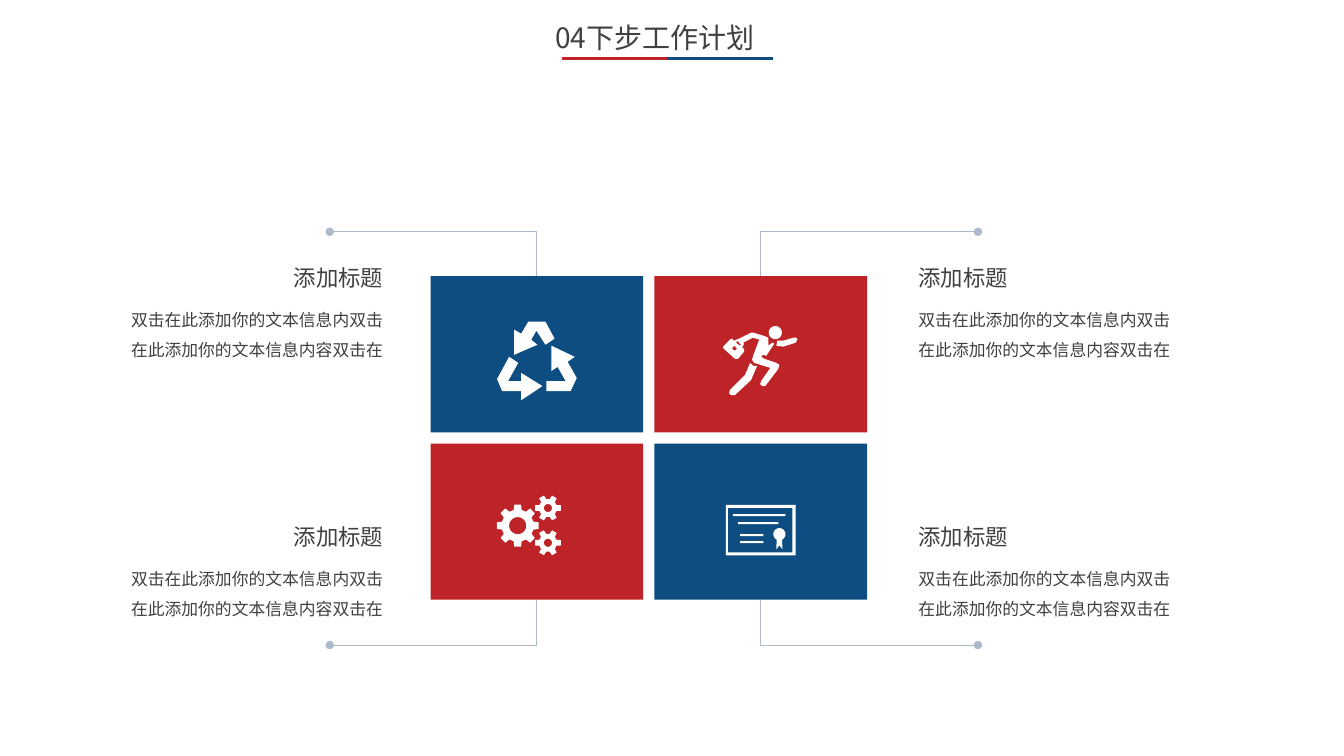
"""Build the next-step work plan slide: four icon tiles with callouts."""
from dataclasses import dataclass
from math import cos, radians, sin

from lxml.etree import SubElement
from pptx import Presentation
from pptx.dml.color import RGBColor
from pptx.enum.shapes import MSO_CONNECTOR as Link, MSO_SHAPE as Preset
from pptx.enum.text import MSO_AUTO_SIZE as AutoSize, PP_ALIGN as Align
from pptx.oxml.ns import qn
from pptx.util import Inches, Pt

COLORS = {"red": "BE2327", "blue": "0D4D81", "line": "ADBACA", "text": "404040", "white": "FFFFFF"}
FONT = "Noto Sans CJK SC"
HEADING = "添加标题"
BODY = "双击在此添加你的文本信息内双击在此添加你的文本信息内容双击在"
TILE_LEFT, TILE_TOP, TILE_WIDTH, TILE_HEIGHT = 4.27, 2.74, 2.11, 1.55
COLUMN_STEP, ROW_STEP = 2.22, 1.66

Point = tuple[float, float]
Contour = list[Point]


@dataclass(frozen=True)
class Side:
    text_left: float
    align: Align
    dot_x: float


@dataclass(frozen=True)
class Row:
    heading_top: float
    dot_y: float
    tile_edge: float


@dataclass(frozen=True)
class Tile:
    column: int
    row: int
    color: str
    icon: list[Contour]


@dataclass(frozen=True)
class TextStyle:
    size: int
    align: Align
    spacing: float = 1.0
    inset: float = 0.0


SIDES = [Side(1.2, Align.RIGHT, 3.27), Side(9.11, Align.LEFT, 9.7)]
ROWS = [Row(2.62, 2.3, 2.74), Row(5.19, 6.4, 5.95)]


def color(name: str) -> RGBColor:
    return RGBColor.from_string(COLORS[name])


def polar(center: Point, radius: float, angle: float) -> Point:
    return center[0] + radius * cos(radians(angle)), center[1] + radius * sin(radians(angle))


def arc(center: Point, radius: float, start: int = 0, end: int = 360) -> Contour:
    return [polar(center, radius, angle) for angle in range(start, end, 9)]


def bar(left: float, top: float, right: float, bottom: float) -> Contour:
    return [(left, top), (right, top), (right, bottom), (left, bottom)]


def gear(center: Point, outer: float, root: float, hole: float, teeth: int) -> list[Contour]:
    pitch = 360 / teeth
    profile = [(root, -0.32), (outer, -0.2), (outer, 0.2), (root, 0.32)]
    rim = [polar(center, radius, pitch * (tooth + shift))
           for tooth in range(teeth) for radius, shift in profile]
    return [rim, arc(center, hole)]


RECYCLE = [
    [(5.41, 3.19), (5.24, 3.19), (5.17, 3.31), (5.1, 3.27), (5.1, 3.52), (5.33, 3.42),
     (5.27, 3.37), (5.32, 3.28), (5.41, 3.42), (5.5, 3.36)],
    [(5.17, 3.78), (5.04, 3.78), (5.14, 3.6), (5.05, 3.54), (4.93, 3.76), (4.98, 3.88),
     (5.17, 3.88), (5.17, 3.97), (5.38, 3.83), (5.17, 3.7)],
    [(5.63, 3.59), (5.7, 3.54), (5.47, 3.43), (5.47, 3.68), (5.53, 3.64), (5.61, 3.78),
     (5.42, 3.78), (5.42, 3.88), (5.66, 3.88), (5.72, 3.75)],
]
RUNNER = [
    [(7.91, 3.37), (7.9, 3.35), (7.87, 3.35), (7.77, 3.38), (7.71, 3.38), (7.7, 3.43),
     (7.77, 3.44), (7.89, 3.4)],
    [(7.35, 3.42), (7.34, 3.43), (7.3, 3.4), (7.32, 3.38), (7.33, 3.4)],
    [(7.29, 3.48), (7.26, 3.46), (7.28, 3.43), (7.31, 3.46)],
    [(7.7, 3.6), (7.58, 3.56), (7.55, 3.54), (7.57, 3.52), (7.6, 3.53), (7.68, 3.41),
     (7.66, 3.4), (7.62, 3.43), (7.62, 3.35), (7.57, 3.33), (7.47, 3.3), (7.45, 3.3),
     (7.33, 3.36), (7.28, 3.38), (7.26, 3.36), (7.24, 3.37), (7.18, 3.43), (7.17, 3.45),
     (7.19, 3.47), (7.29, 3.56), (7.32, 3.56), (7.38, 3.49), (7.38, 3.46), (7.36, 3.45),
     (7.38, 3.41), (7.37, 3.4), (7.47, 3.35), (7.53, 3.37), (7.47, 3.53), (7.46, 3.57),
     (7.48, 3.6), (7.64, 3.65), (7.55, 3.78), (7.54, 3.81), (7.56, 3.83), (7.59, 3.83),
     (7.72, 3.66), (7.73, 3.62)],
    [(7.44, 3.6), (7.39, 3.72), (7.24, 3.87), (7.23, 3.9), (7.25, 3.92), (7.29, 3.92),
     (7.45, 3.77), (7.51, 3.63), (7.47, 3.63)],
    arc((7.69, 3.3), 0.065),
]
GEARS = [
    *gear((5.135, 5.215), 0.21, 0.16, 0.085, 8),
    *gear((5.435, 5.04), 0.13, 0.09, 0.04, 6),
    *gear((5.435, 5.385), 0.13, 0.09, 0.04, 6),
]
CERTIFICATE = [
    bar(7.2, 5.01, 7.89, 5.51),
    bar(7.22, 5.04, 7.86, 5.48),
    bar(7.27, 5.1, 7.79, 5.12),
    bar(7.32, 5.18, 7.72, 5.2),
    bar(7.34, 5.3, 7.57, 5.32),
    bar(7.34, 5.37, 7.57, 5.39),
    [(7.76, 5.45), (7.73, 5.41), (7.7, 5.45), *arc((7.73, 5.3), 0.06, 117, 424)],
]
TILES = [
    Tile(0, 1, "red", GEARS),
    Tile(0, 0, "blue", RECYCLE),
    Tile(1, 0, "red", RUNNER),
    Tile(1, 1, "blue", CERTIFICATE),
]


def paint(shape, name: str) -> None:
    shape.fill.solid()
    shape.fill.fore_color.rgb = color(name)
    shape.line.fill.background()
    shape.shadow.inherit = False


def add_text(page, text: str, left: float, top: float, width: float, height: float,
             style: TextStyle) -> None:
    box = page.shapes.add_textbox(Inches(left), Inches(top), Inches(width), Inches(height))
    frame = box.text_frame
    frame.word_wrap = True
    frame.auto_size = AutoSize.SHAPE_TO_FIT_TEXT
    frame.margin_left = frame.margin_right = Inches(style.inset)
    frame.margin_top = frame.margin_bottom = Inches(style.inset / 2)
    para = frame.paragraphs[0]
    para.alignment = style.align
    para.line_spacing = style.spacing
    span = para.add_run()
    span.text = text
    span.font.size = Pt(style.size)
    span.font.name = FONT
    span.font.color.rgb = color("text")
    SubElement(span.font._element, qn("a:ea"), typeface=FONT)


def add_line(page, kind: Link, start: Point, end: Point, name: str, width: float):
    line = page.shapes.add_connector(kind, *(Inches(value) for value in (*start, *end)))
    line.line.color.rgb = color(name)
    line.line.width = Pt(width)
    SubElement(line._element.spPr, qn("a:effectLst"))
    return line


def add_callout(page, column: int, side: Side, row: Row) -> None:
    elbow_x = 5.32 + column * COLUMN_STEP
    line = add_line(page, Link.ELBOW, (side.dot_x, row.dot_y), (elbow_x, row.tile_edge), "line", 0.75)
    line._element.spPr.find(qn("a:prstGeom")).set("prst", "bentConnector2")
    SubElement(line.line._get_or_add_ln(), qn("a:headEnd"), type="oval")
    add_text(page, HEADING, side.text_left, row.heading_top, 2.6, 0.27, TextStyle(16, side.align))
    add_text(page, BODY, side.text_left, row.heading_top + 0.35, 2.6, 0.57,
             TextStyle(12, side.align, 1.5))


def add_tile(page, tile: Tile) -> None:
    left = TILE_LEFT + tile.column * COLUMN_STEP
    top = TILE_TOP + tile.row * ROW_STEP
    shape = page.shapes.add_shape(Preset.RECTANGLE, Inches(left), Inches(top),
                                  Inches(TILE_WIDTH), Inches(TILE_HEIGHT))
    paint(shape, tile.color)


def add_icon(page, contours: list[Contour]) -> None:
    outlines = [[(Inches(x), Inches(y)) for x, y in contour] for contour in contours]
    builder = page.shapes.build_freeform(*outlines[0][0])
    for outline in outlines:
        builder.move_to(*outline[0])
        builder.add_line_segments(outline[1:], close=True)
    paint(builder.convert_to_shape(), "white")


def main() -> None:
    deck = Presentation()
    deck.slide_width, deck.slide_height = Inches(13.33), Inches(7.5)
    page = deck.slides.add_slide(deck.slide_layouts[6])
    for column, side in enumerate(SIDES):
        for row in ROWS:
            add_callout(page, column, side, row)
    for tile in TILES:
        add_tile(page, tile)
    for tile in TILES:
        add_icon(page, tile.icon)
    add_text(page, "04下步工作计划", 5.41, 0.15, 2.4, 0.44, TextStyle(20, Align.JUSTIFY, inset=0.1))
    for index, name in enumerate(("red", "blue")):
        start = 5.57 + index * 1.05
        add_line(page, Link.STRAIGHT, (start, 0.58), (start + 1.05, 0.58), name, 2)
    deck.save("out.pptx")


if __name__ == "__main__":
    main()
